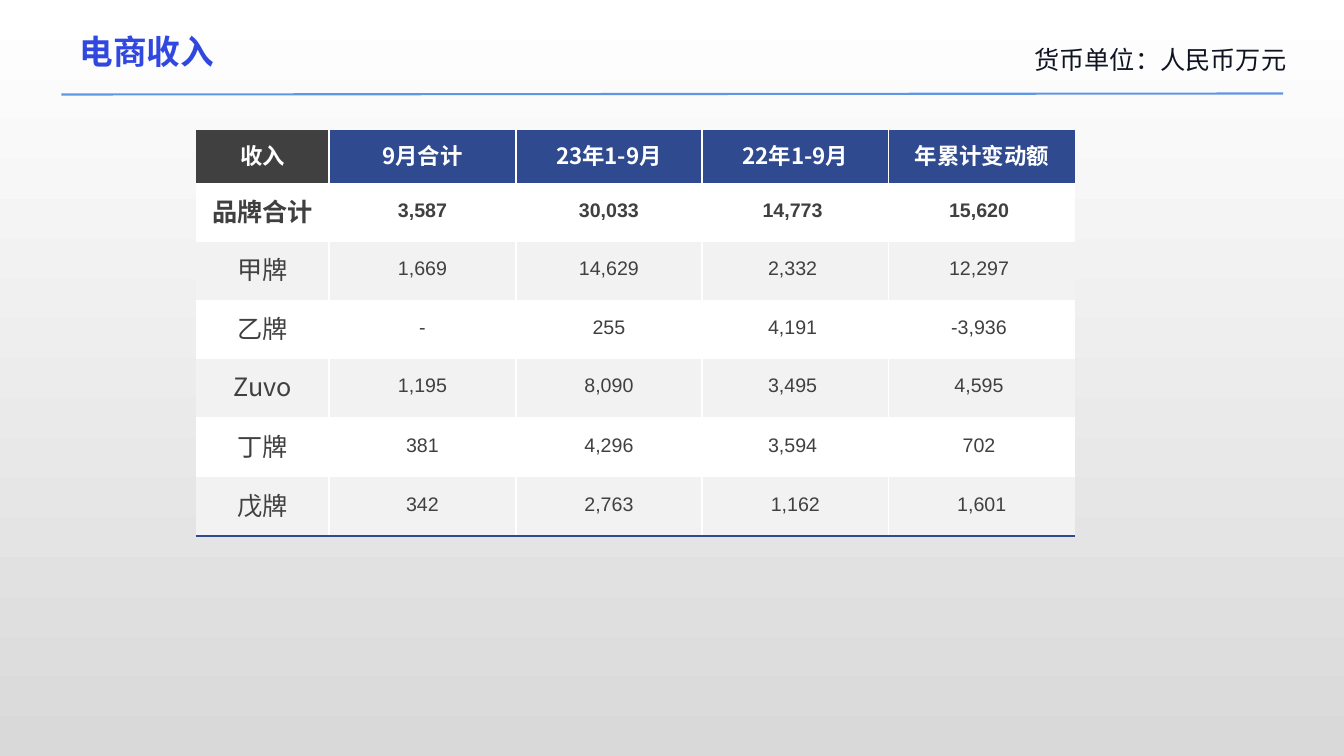
from lxml import etree
from pptx import Presentation
from pptx.dml.color import RGBColor
from pptx.enum.shapes import MSO_CONNECTOR as Link
from pptx.enum.text import MSO_ANCHOR as Anchor, PP_ALIGN as Align
from pptx.oxml.ns import qn
from pptx.util import Pt

SANS = "Noto Sans CJK SC"
NAVY, GREY, WHITE, PALE = "2F4A8F", "404040", "FFFFFF", "F2F2F2"
PLAIN = "{2D5ABB26-0587-4C30-8999-92F81FD0307C}"  # table style without grid

HEAD = ["收入", "9月合计", "23年1-9月", "22年1-9月", "年累计变动额"]
ROWS = [
    ["品牌合计", "3,587", "30,033", "14,773 ", "15,620 "],
    ["甲牌", "1,669", "14,629", "2,332 ", "12,297 "],
    ["乙牌", "-", "255", "4,191 ", "-3,936 "],
    ["Zuvo", "1,195", "8,090", "3,495 ", "4,595 "],
    ["丁牌", "381", "4,296", "3,594 ", "702 "],
    ["戊牌", "342", "2,763", "1,162", "1,601"],
]
WIDTHS = [95] + [133.2] * 4
HEIGHTS = [38] + [41.8] * 4 + [42.9, 41.8]


def rgb(code):
    return RGBColor.from_string(code)


def write(frame, text, size=14, color=GREY, bold=False, font=SANS,
          align=Align.LEFT):
    par = frame.paragraphs[0]
    par.alignment = align
    run = par.add_run()
    run.text = text
    face = run.font
    face.size, face.bold, face.name = Pt(size), bold, font
    face.color.rgb = rgb(color)
    east = etree.SubElement(run._r.get_or_add_rPr(), qn("a:ea"))
    east.set("typeface", SANS)


def edge(cell, side, color):
    """Draw one border of a cell; side is L, R, T or B."""
    line = etree.SubElement(cell._tc.get_or_add_tcPr(), qn("a:ln" + side))
    line.set("w", str(Pt(1.5)))
    fill = etree.SubElement(line, qn("a:solidFill"))
    etree.SubElement(fill, qn("a:srgbClr")).set("val", color)


class Page:
    def __init__(self, deck):
        self.slide = deck.slides.add_slide(deck.slide_layouts[5])
        self.shapes = self.slide.shapes

    def shade(self, top, bottom):
        fill = self.slide.background.fill
        fill.gradient()
        fill.gradient_angle = 270
        for stop, code in zip(fill.gradient_stops, (top, bottom)):
            stop.color.rgb = rgb(code)

    def title(self, text, x, y, w, h):
        box = self.shapes.title
        box.left, box.top, box.width, box.height = map(Pt, (x, y, w, h))
        box.text_frame.vertical_anchor = Anchor.MIDDLE
        write(box.text_frame, text, size=24, color="3148E0", bold=True)

    def note(self, text, x, y, w, h):
        frame = self.shapes.add_textbox(*map(Pt, (x, y, w, h))).text_frame
        frame.word_wrap = True
        frame.margin_left = frame.margin_right = 0
        frame.margin_top = frame.margin_bottom = 0
        write(frame, text, size=18, color="0F1423", align=Align.RIGHT)

    def rule(self, *ends):
        line = self.shapes.add_connector(Link.STRAIGHT, *map(Pt, ends))
        line.line.color.rgb = rgb("6096E6")
        line.line.width = Pt(1.5)
        etree.SubElement(line._element.spPr, qn("a:effectLst"))

    def table(self, x, y):
        size = map(Pt, (x, y, sum(WIDTHS), sum(HEIGHTS)))
        grid = self.shapes.add_table(len(HEIGHTS), len(WIDTHS), *size).table
        grid._tbl.tblPr.find(qn("a:tableStyleId")).text = PLAIN
        for col, width in zip(grid.columns, WIDTHS):
            col.width = Pt(width)
        for row, height in zip(grid.rows, HEIGHTS):
            row.height = Pt(height)
        for r, texts in enumerate([HEAD] + ROWS):
            for c, text in enumerate(texts):
                self.cell(grid.cell(r, c), text, r, c)

    def cell(self, cell, text, r, c):
        if c > 0:
            edge(cell, "L", WHITE)
        if c < len(HEAD) - 1:
            edge(cell, "R", WHITE)
        if r == len(ROWS):
            edge(cell, "B", NAVY)
        cell.vertical_anchor = Anchor.MIDDLE
        cell.margin_left = cell.margin_right = cell.margin_top = Pt(0.75)
        cell.margin_bottom = Pt(3.6)
        if r == 0:
            back = NAVY if c else GREY
            look = dict(size=16, color=WHITE)
        else:
            back = WHITE if r % 2 else PALE
            look = dict(size=14, font="Arial") if c else dict(size=18)
        cell.fill.solid()
        cell.fill.fore_color.rgb = rgb(back)
        write(cell.text_frame, text, bold=r < 2, align=Align.CENTER, **look)


def main():
    deck = Presentation()
    deck.slide_width, deck.slide_height = Pt(960), Pt(540)
    page = Page(deck)
    page.shade(WHITE, "D9D9D9")
    page.title("电商收入", 49.7, 18.7, 660, 36)
    page.note("货币单位：人民币万元", 705, 31.7, 213.8, 33.8)
    page.rule(43.9, 67.5, 916.5, 66.8)
    page.table(140.2, 92.9)
    deck.save("out.pptx")


if __name__ == "__main__":
    main()
